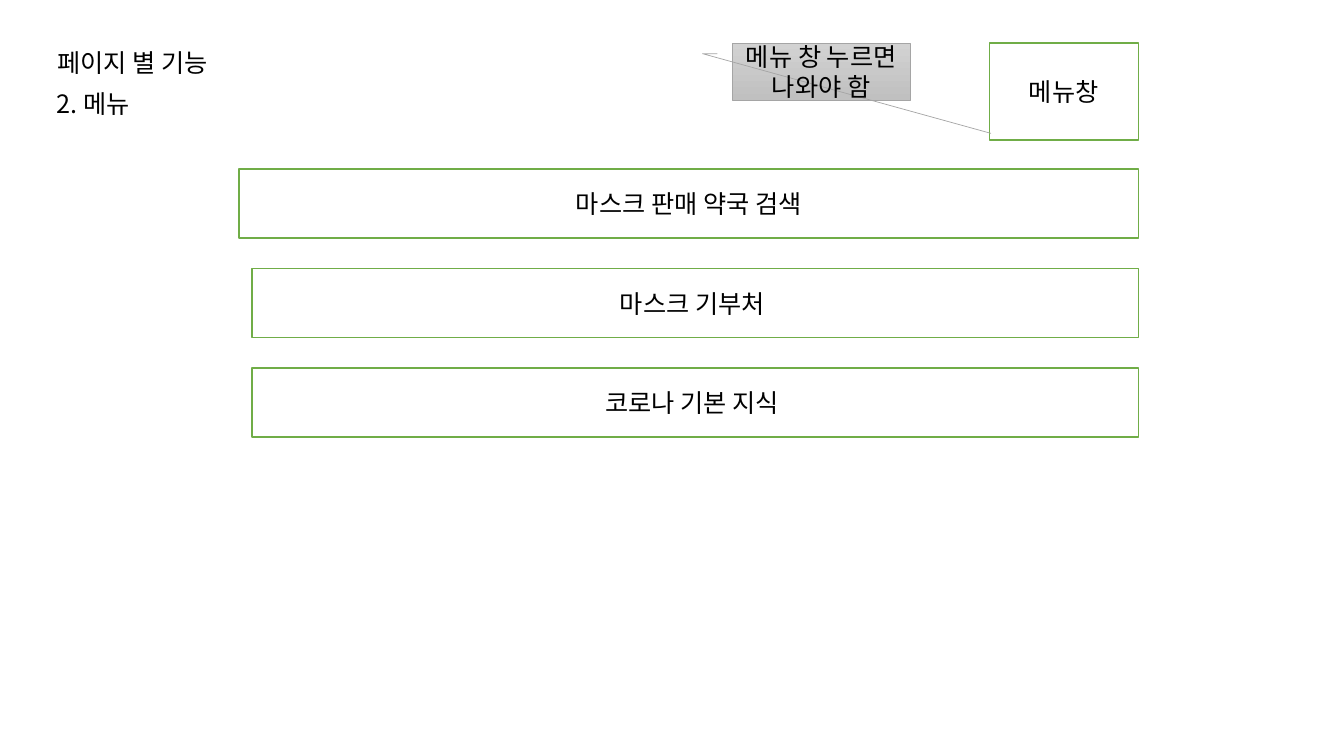
"""Build the menu page of a page-by-page feature wireframe."""
from lxml.etree import SubElement
from pptx import Presentation
from pptx.dml.color import RGBColor as RGB
from pptx.enum.shapes import MSO_SHAPE as SHAPE
from pptx.enum.text import MSO_ANCHOR as ANCHOR, PP_ALIGN as ALIGN
from pptx.oxml.ns import qn
from pptx.util import Inches, Pt

HEADING = ("페이지 별 기능", (47, 42, 408, 40))
SECTION = ("2. 메뉴", (47, 83, 408, 40))
MENU_BUTTON = ("메뉴창", (989, 43, 149, 97))
MENU_NOTE = ("메뉴 창 누르면 나와야 함", (732, 43, 178, 57))
NOTE_POINTER = (0.188, -0.083, 0.188, -0.167, 1.587, 1.454)
MENU_ITEMS = [("마스크 판매 약국 검색", 239), ("마스크 기부처 ", 252), ("코로나 기본 지식 ", 252)]
ITEMS_TOP, ITEMS_BOTTOM, ITEMS_RIGHT, ITEM_HEIGHT = 169, 437, 1138, 69

FONT = "Noto Sans CJK KR"
COLORS = {"text": "000000", "box": "FFFFFF", "border": "70AD47",
          "note_border": "A5A5A5", "note_top": "D2D2D2", "note_bottom": "C0C0C0"}
SCALE = Inches(1) / 100.8


def color(name):
    return RGB.from_string(COLORS[name])


def emu(box):
    return [round(length * SCALE) for length in box]


def write(part, text, align, anchor):
    frame = part.text_frame
    frame.word_wrap = True
    frame.vertical_anchor = anchor
    frame.text = text
    paragraph = frame.paragraphs[0]
    paragraph.alignment = align
    font = paragraph.font
    font.size, font.name = Pt(18), FONT
    font.color.rgb = color("text")
    defaults = paragraph._p.pPr.find(qn("a:defRPr"))
    SubElement(defaults, qn("a:ea"), typeface=FONT)


def add_box(text, box, kind=SHAPE.RECTANGLE, border="border", width=1):
    part = slide.shapes.add_shape(kind, *emu(box))
    part.shadow.inherit = False
    part.fill.solid()
    part.fill.fore_color.rgb = color("box")
    part.line.color.rgb = color(border)
    part.line.width = Pt(width)
    write(part, text, ALIGN.CENTER, ANCHOR.MIDDLE)
    return part


deck = Presentation()
deck.slide_width, deck.slide_height = Inches(13.33), Inches(7.5)
slide = deck.slides.add_slide(deck.slide_layouts[5])

heading = slide.shapes.title
heading.left, heading.top, heading.width, heading.height = emu(HEADING[1])
write(heading, HEADING[0], ALIGN.LEFT, ANCHOR.TOP)

section = slide.shapes.add_textbox(*emu(SECTION[1]))
write(section, SECTION[0], ALIGN.LEFT, ANCHOR.TOP)

add_box(*MENU_BUTTON)

pitch = (ITEMS_BOTTOM - ITEM_HEIGHT - ITEMS_TOP) / (len(MENU_ITEMS) - 1)
for row, (item, left) in enumerate(MENU_ITEMS):
    add_box(item, (left, ITEMS_TOP + row * pitch, ITEMS_RIGHT - left, ITEM_HEIGHT))

note = add_box(*MENU_NOTE, SHAPE.LINE_CALLOUT_2, "note_border", 0.5)
for index, offset in enumerate(NOTE_POINTER):
    note.adjustments[index] = offset
note.fill.gradient()
note.fill.gradient_angle = 270
for stop, shade in zip(note.fill.gradient_stops, ("note_top", "note_bottom")):
    stop.color.rgb = color(shade)

deck.save("out.pptx")
